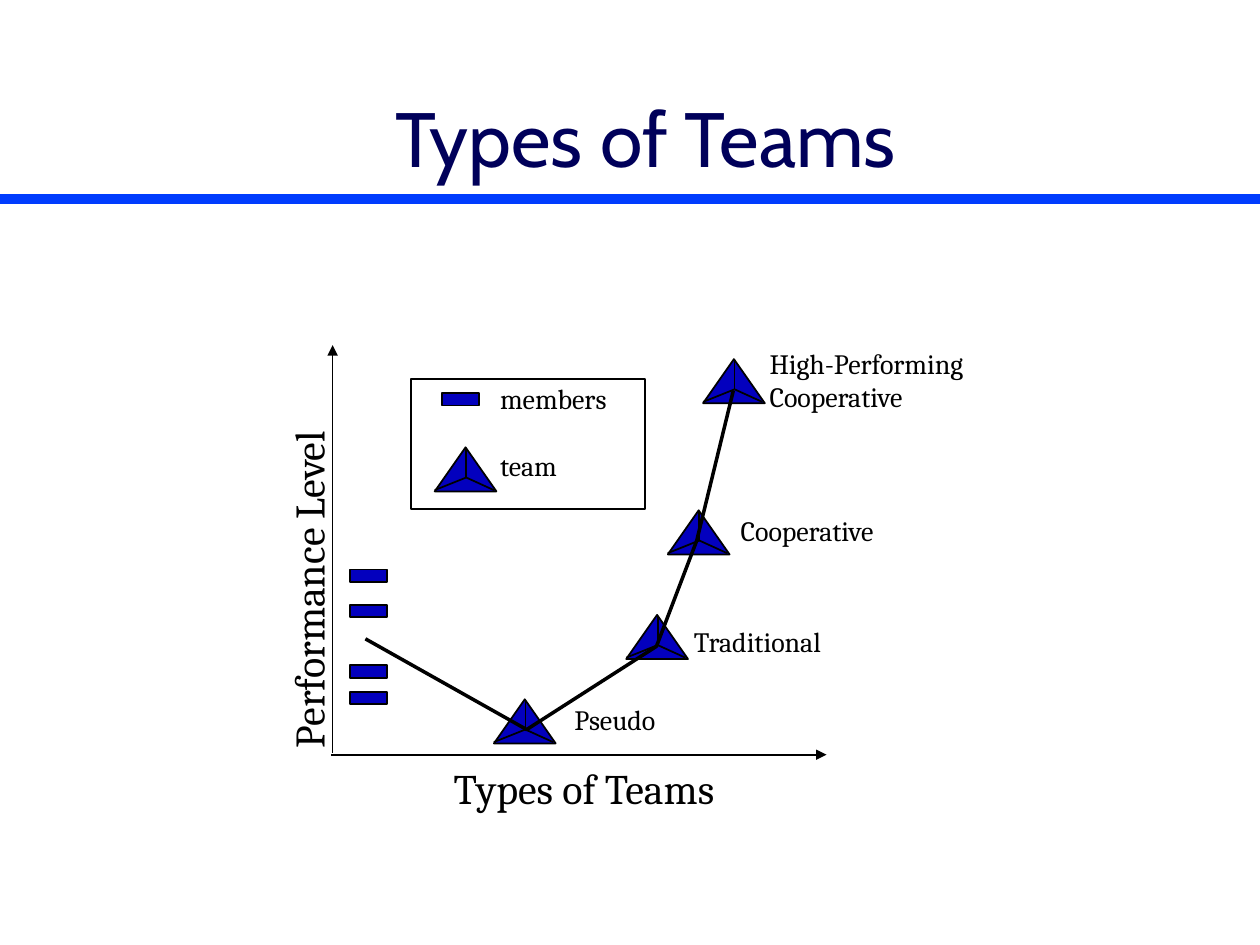
"""Draw the slide that plots team types against performance level."""
from pptx import Presentation, util as u
from pptx.dml.color import RGBColor
from pptx.enum import shapes, text
from pptx.oxml import ns, xmlchemy as xml

HUES = {"bar": "003CFE", "title": "00005A", "ink": "000000", "team": "0300BE"}
BODY = "Cambria"
TEAMS = [
    (3.92, 5.55, 4.46, 5.53, 0.92, 0.36, ["Pseudo"]),
    (4.97, 4.88, 5.41, 4.91, 1.3, 0.36, ["Traditional"]),
    (5.3, 4.05, 5.78, 4.03, 1.41, 0.36, ["Cooperative"]),
    (5.58, 2.85, 6.01, 2.7, 1.9, 0.63, ["High-Performing", "Cooperative"]),
]
CURVE = [(2.9, 5.07), (4.18, 5.79), (5.21, 5.13), (5.53, 4.29), (5.82, 3.1)]


def hue(name):
    """Return the named colour."""
    return RGBColor.from_string(HUES[name])


def inch(*nums):
    """Turn numbers into lengths."""
    return [u.Inches(num) for num in nums]


def write(board, lines, box, size=16, font=BODY, tint="ink", align="LEFT",
          anchor="TOP", wrap=False, gap=0, turn=0):
    """Add a text box with one paragraph for each line."""
    label = board.add_textbox(*inch(*box))
    label.rotation = turn
    frame = label.text_frame
    frame.word_wrap = wrap
    frame.vertical_anchor = getattr(text.MSO_ANCHOR, anchor)
    for i, line in enumerate(lines):
        para = frame.add_paragraph() if i else frame.paragraphs[0]
        para.text = line
        para.alignment = getattr(text.PP_ALIGN, align)
        if i and gap:
            para.space_before = u.Pt(gap)
        para.font.size = u.Pt(size)
        para.font.name = font
        para.font.color.rgb = hue(tint)


def rule(board, start, end, tint="ink", width=1, arrow=False):
    """Add a straight line, with an arrowhead at its start if asked."""
    line = board.add_connector(shapes.MSO_CONNECTOR.STRAIGHT, *inch(*start, *end))
    line.line.color.rgb = hue(tint)
    line.line.width = u.Pt(width)
    props = line._element.spPr
    if arrow:
        head = xml.OxmlElement("a:headEnd")
        head.set("type", "triangle")
        props.find(ns.qn("a:ln")).append(head)
    props.append(xml.OxmlElement("a:effectLst"))


def paint(item, fill=None, width=1):
    """Give a shape its fill and black outline."""
    item.shadow.inherit = False
    if fill:
        item.fill.solid()
        item.fill.fore_color.rgb = hue(fill)
    else:
        item.fill.background()
    item.line.color.rgb = hue("ink")
    item.line.width = u.Pt(width)


def block(board, kind, box, fill=None):
    """Add a preset shape."""
    paint(board.add_shape(getattr(shapes.MSO_SHAPE, kind), *inch(*box)), fill)


def member(board, left, top):
    """Add the small bar that stands for a member."""
    block(board, "RECTANGLE", (left, top, 0.29, 0.1), "team")


def team(board, left, top):
    """Add the triangle with three spokes that stands for a team."""
    group = board.add_group_shape().shapes
    block(group, "ISOSCELES_TRIANGLE", (left, top, 0.49, 0.35), "team")
    hub = left + 0.25, top + 0.24
    for x, y in [(0.25, 0.01), (0, 0.34), (0.47, 0.34)]:
        rule(group, (left + x, top + y), hub)


def trend(board):
    """Add the performance curve."""
    points = [inch(*point) for point in CURVE]
    path = board.build_freeform(*points[0])
    path.add_line_segments(points[1:], close=False)
    paint(path.convert_to_shape(), width=2)


def axes(board):
    """Add both axes and their titles."""
    rule(board, (2.64, 2.74), (2.64, 5.98), arrow=True)
    rule(board, (6.56, 5.99), (2.63, 5.99), arrow=True)
    write(board, ["Performance Level"], (0.96, 4.3, 2.97, 0.5), size=24, turn=270)
    write(board, ["Types of Teams"], (2.72, 6, 3.83, 0.5), size=24,
          align="CENTER", wrap=True)


def legend(board):
    """Add the key to the symbols."""
    member(board, 3.51, 3.12)
    write(board, ["members", "team"], (3.87, 2.98, 1.11, 0.9), gap=19)
    team(board, 3.45, 3.55)
    block(board, "RECTANGLE", (3.26, 3.01, 1.86, 1.03))


def main():
    """Build and save the slide."""
    deck = Presentation()
    deck.slide_width, deck.slide_height = inch(10, 7.5)
    board = deck.slides.add_slide(deck.slide_layouts[6]).shapes
    rule(board, (0, 1.58), (10, 1.58), tint="bar", width=6)
    write(board, ["Types of Teams"], (0.5, 0.25, 9.25, 1.25), size=44, font="Cabin",
          tint="title", align="CENTER", anchor="BOTTOM", wrap=True)
    axes(board)
    for top in (4.52, 4.8, 5.28, 5.49):
        member(board, 2.78, top)
    for left, top, *box, lines in TEAMS:
        team(board, left, top)
        write(board, lines, box)
    legend(board)
    trend(board)
    deck.save("out.pptx")


if __name__ == "__main__":
    main()
